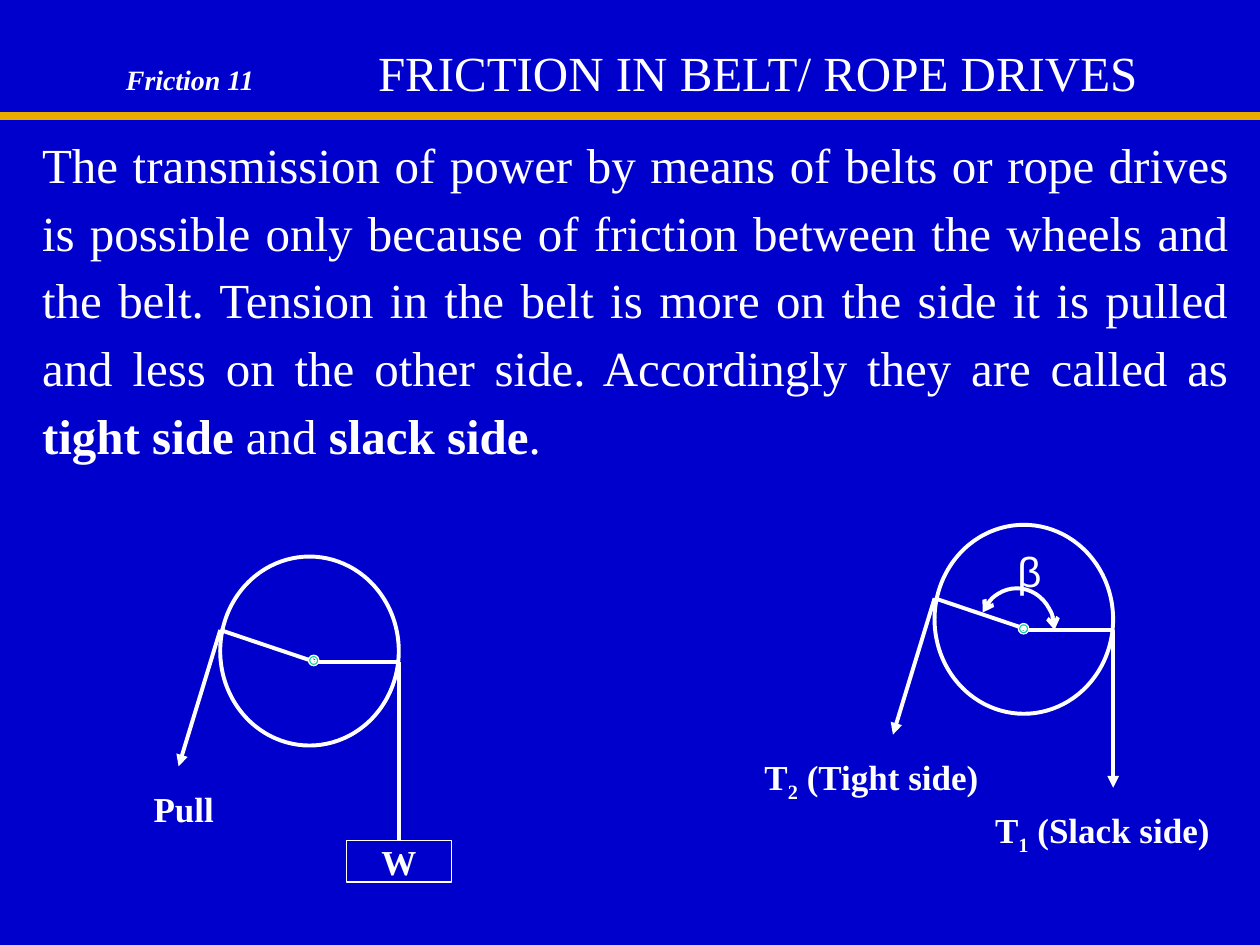
from lxml.etree import SubElement
from pptx import Presentation
from pptx.dml.color import RGBColor
from pptx.enum.shapes import MSO_CONNECTOR, MSO_SHAPE
from pptx.enum.text import MSO_ANCHOR, MSO_AUTO_SIZE, PP_ALIGN
from pptx.oxml.ns import qn
from pptx.util import Cm, Pt

BLUE, WHITE, GOLD, GREEN = "0000CC", "FFFFFF", "E8AB00", "00CC99"
SERIF = "Times New Roman"


def color(hex_string):
    return RGBColor.from_string(hex_string)


def write(frame, parts, size=20, font=SERIF, bold=False, italic=False,
          align=PP_ALIGN.CENTER, spacing=1.0):
    """Fill a text frame; each part is a string or (string, overrides)."""
    frame.margin_left = frame.margin_right = 0
    frame.margin_top = frame.margin_bottom = 0
    frame.word_wrap = True
    frame.auto_size = MSO_AUTO_SIZE.SHAPE_TO_FIT_TEXT
    frame.vertical_anchor = MSO_ANCHOR.TOP
    paragraph = frame.paragraphs[0]
    paragraph.alignment = align
    paragraph.line_spacing = spacing
    for part in parts:
        text, extra = (part, {}) if isinstance(part, str) else part
        run = paragraph.add_run()
        run.text = text
        run.font.name = font
        run.font.size = Pt(size)
        run.font.bold = extra.get("bold", bold)
        run.font.italic = italic
        run.font.color.rgb = color(WHITE)
        if extra.get("subscript"):
            run.font._element.set("baseline", "-25000")


class Board:
    """Drawing style and the slide being drawn; lengths in centimetres."""
    stroke = 2.25

    def __init__(self, slide):
        self.slide = slide
        slide.background.fill.solid()
        slide.background.fill.fore_color.rgb = color(BLUE)

    def title(self, text, box, **style):
        title = self.slide.shapes.title
        title.left, title.top, title.width, title.height = map(Cm, box)
        write(title.text_frame, [text], **style)

    def label(self, parts, box, **style):
        write(self.slide.shapes.add_textbox(*map(Cm, box)).text_frame, parts, **style)

    def shape(self, kind, box, fill=None, width=stroke):
        shape = self.slide.shapes.add_shape(kind, *map(Cm, box))
        shape.shadow.inherit = False
        if fill:
            shape.fill.solid()
            shape.fill.fore_color.rgb = color(fill)
        else:
            shape.fill.background()
        self.outline(shape, WHITE, width)
        return shape

    def line(self, start, end, stroke=WHITE, width=stroke, tail=None):
        line = self.slide.shapes.add_connector(
            MSO_CONNECTOR.STRAIGHT, *map(Cm, (*start, *end)))
        self.outline(line, stroke, width, tail=tail)
        SubElement(line._element.spPr, qn("a:effectLst"))
        return line

    def outline(self, item, stroke, width, head=None, tail=None):
        item.line.color.rgb = color(stroke)
        item.line.width = Pt(width)
        ln = item._element.spPr.get_or_add_ln()
        for tag, kind in (("a:headEnd", head), ("a:tailEnd", tail)):
            if kind:
                SubElement(ln, qn(tag), type=kind)

    def wheel(self, x, y, rope_length, hub_x, rope_tail=None):
        """Draw a wheel with its two radii and belt ends; return the hanging rope."""
        contact, center, rim = (x, y + 1.48), (x + 1.9, y + 2.12), (x + 3.6, y + 2.12)
        self.shape(MSO_SHAPE.OVAL, (x, y, 3.6, 3.81))
        self.line(contact, center)
        self.line(center, rim)
        self.line(contact, (x - 0.84, y + 4.23), tail="triangle")
        rope = self.line(rim, (rim[0], rim[1] + rope_length), tail=rope_tail)
        self.shape(MSO_SHAPE.DONUT, (x + hub_x, y + 1.99, 0.21, 0.21), GREEN, 0.75)
        return rope

    def angle_arc(self, box, start_degrees):
        """Draw a double-headed arc from start_degrees clockwise to 0."""
        arc = self.shape(MSO_SHAPE.ARC, box)
        arc.adjustments[0] = start_degrees * 0.6  # 60000ths of a degree / 100000
        arc.adjustments[1] = 0
        self.outline(arc, WHITE, self.stroke, head="arrow", tail="arrow")


def main():
    deck = Presentation()
    deck.slide_width, deck.slide_height = Cm(25.4), Cm(19.05)
    board = Board(deck.slides.add_slide(deck.slide_layouts[5]))

    # Heading
    board.title("FRICTION IN BELT/ ROPE DRIVES", (7.62, 0.85, 16.09, 1.19),
                size=28, align=PP_ALIGN.LEFT)
    board.label(["Friction 11"], (2.54, 1.27, 4.23, 0.68),
                size=16, bold=True, italic=True, align=PP_ALIGN.LEFT)
    board.line((0, 2.33), (25.4, 2.33), GOLD, 4.5)

    # Explanation
    strong = {"bold": True}
    board.label(
        ["The transmission of power by means of belts or rope drives is possible "
         "only because of friction between the wheels and the belt. Tension in the "
         "belt is more on the side it is pulled and less on the other side. "
         "Accordingly they are called as ",
         ("tight side", strong), " and ", ("slack side", strong), "."],
        (0.85, 2.54, 23.92, 6.81), size=28, align=PP_ALIGN.JUSTIFY, spacing=1.15)

    # Wheel lifting a weight
    weight = board.shape(MSO_SHAPE.RECTANGLE, (6.98, 16.94, 2.12, 0.84), width=0.75)
    write(weight.text_frame, ["W"], bold=True)
    rope = board.wheel(4.44, 11.22, rope_length=3.6, hub_x=1.78)
    rope.end_connect(weight, 0)
    board.label(["Pull"], (2.54, 15.88, 2.33, 0.85), bold=True)

    # Wheel with belt tensions and contact angle
    board.wheel(18.84, 10.58, rope_length=3.18, hub_x=1.69, rope_tail="triangle")
    board.angle_arc((19.74, 11.86, 1.52, 1.68), start_degrees=207)
    board.label(["β"], (20.12, 11, 1.27, 1.02), size=24, font="Arial")
    for index, side, box in (("2", "Tight", (14.82, 15.24, 5.5, 0.97)),
                             ("1", "Slack", (19.05, 16.3, 6.35, 0.97))):
        board.label(["T", (index, {"bold": True, "subscript": True}), f" ({side} side)"],
                    box, bold=True)

    deck.save("out.pptx")


if __name__ == "__main__":
    main()
